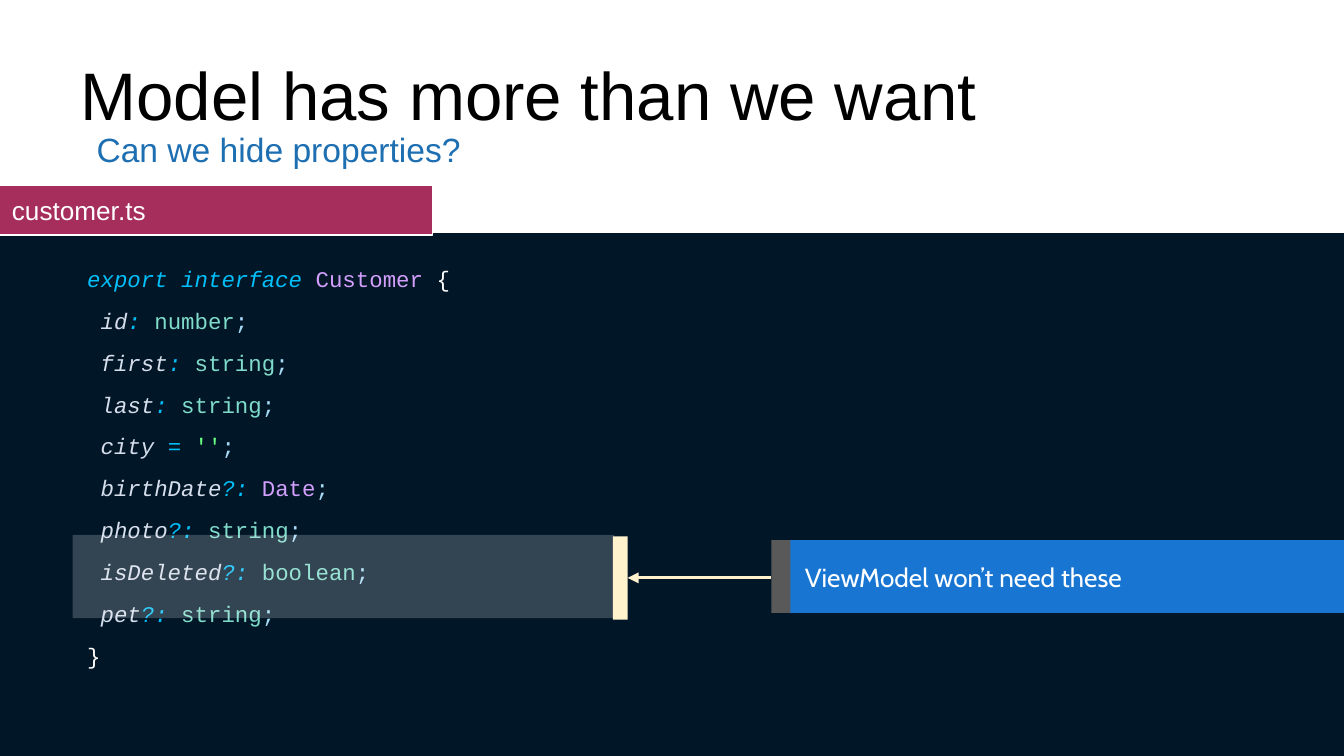
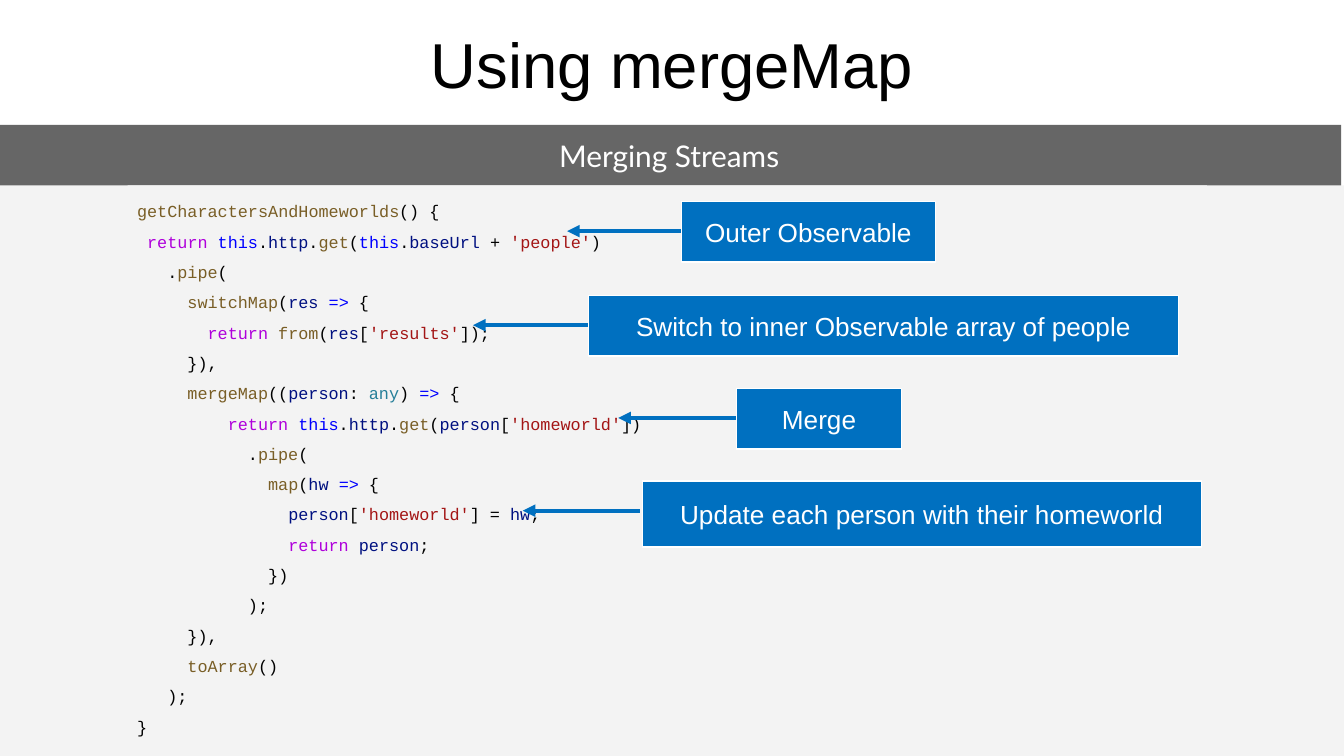
from itertools import groupby

from lxml.etree import SubElement
from pptx import Presentation
from pptx.dml.color import RGBColor
from pptx.enum.shapes import MSO_CONNECTOR as Connector, MSO_SHAPE as Shape
from pptx.enum.text import MSO_ANCHOR as Anchor, MSO_AUTO_SIZE as AutoSize, PP_ALIGN as Align
from pptx.oxml.ns import qn
from pptx.util import Inches, Pt

WHITE, BLACK, NIGHT, PALE = "FFFFFF", "000000", "011627", "F3F3F3"
BERRY, SLATE, GREY, CREAM = "A62E5C", "595959", "666666", "FFF2CC"
BRIGHT_BLUE, LINK_BLUE, CALLOUT_BLUE = "1876D2", "1D6FB2", "0070C0"

CUSTOMER_CODE = """export interface Customer {
 id: number;
 first: string;
 last: string;
 city = '';
 birthDate?: Date;
 photo?: string;
 isDeleted?: boolean;
 pet?: string;
}"""
CUSTOMER_COLOURS = {
    "00BFF9": "export interface : ?: =",
    "D6DEEB": "id first last city birthDate photo isDeleted pet",
    "D29FFC": "Customer Date",
    "7FDBCA": "number string boolean",
    "6BFF81": "''",
    WHITE: "{ }",
}
CUSTOMER_ITALICS = ("00BFF9", "D6DEEB")

MERGE_CODE = """getCharactersAndHomeworlds() {
 return this.http.get(this.baseUrl + 'people')
   .pipe(
     switchMap(res => {
       return from(res['results']);
     }),
     mergeMap((person: any) => {
         return this.http.get(person['homeworld'])
           .pipe(
             map(hw => {
               person['homeworld'] = hw;
               return person;
             })
           );
     }),
     toArray()
   );
}"""
MERGE_COLOURS = {
    "795E26": "getCharactersAndHomeworlds get pipe switchMap from mergeMap map toArray",
    "AF00DB": "return",
    "0000FF": "this =>",
    "001080": "http baseUrl res person hw",
    "A31515": "'people' 'results' 'homeworld'",
    "267F99": "any",
}

# text, box left, top, width, height, arrow start, arrow length
CALLOUTS = [
    ("Outer Observable", 5.07, 1.5, 1.89, 0.45, 5.09, 0.87),
    ("Merge", 5.48, 2.89, 1.23, 0.45, 5.48, 0.88),
    ("Update each person with their homeworld", 4.78, 3.58, 4.16, 0.49, 4.76, 0.87),
    ("Switch to inner Observable array of people", 4.38, 2.2, 4.39, 0.45, 4.4, 0.88),
]


def colour(value):
    """Turn a hex string into a colour."""
    return RGBColor.from_string(value)


def apply(target, formats):
    """Set each attribute named in a dict of format values."""
    for name, value in formats.items():
        setattr(target, name, value)


def style(span, size, hue, font="Arial", italic=False):
    """Format one run of text."""
    apply(span.font, {"size": Pt(size), "name": font, "italic": italic})
    span.font.color.rgb = colour(hue)


def prepare(box, anchor=Anchor.TOP, inset=(0.1, 0.1)):
    """Set the wrap, anchor and insets of a text frame and return it."""
    side, edge = map(Inches, inset)
    apply(box.text_frame, {
        "auto_size": AutoSize.NONE, "word_wrap": True, "vertical_anchor": anchor,
        "margin_left": side, "margin_right": side, "margin_top": edge, "margin_bottom": edge})
    return box.text_frame


def write(box, text, size, hue=WHITE, font="Arial", align=Align.LEFT, anchor=Anchor.MIDDLE):
    """Write one formatted paragraph into a shape."""
    para = prepare(box, anchor).paragraphs[0]
    para.alignment = align
    span = para.add_run()
    span.text = text
    style(span, size, hue, font)


def add_band(page, place, fill, line=None, alpha=None):
    """Add a plain rectangle."""
    band = page.shapes.add_shape(Shape.RECTANGLE, *map(Inches, place))
    band.shadow.inherit = False
    band.fill.solid()
    band.fill.fore_color.rgb = colour(fill)
    if alpha:
        hue = band._element.spPr.find(qn("a:solidFill")).find(qn("a:srgbClr"))
        SubElement(hue, qn("a:alpha"), val=str(alpha * 1000))
    if line:
        band.line.color.rgb = colour(line)
        band.line.width = Pt(0.75)
    else:
        band.line.fill.background()
    return band


def add_text_box(page, place):
    """Add an empty text box."""
    return page.shapes.add_textbox(*map(Inches, place))


def add_arrow(page, start, end, y, hue, width):
    """Add a level arrow pointing at its end."""
    arrow = page.shapes.add_connector(
        Connector.STRAIGHT, Inches(start), Inches(y), Inches(end), Inches(y))
    arrow.line.color.rgb = colour(hue)
    arrow.line.width = Pt(width)
    properties = arrow._element.spPr
    SubElement(properties.find(qn("a:ln")), qn("a:tailEnd"), type="triangle")
    SubElement(properties, qn("a:effectLst"))


def add_title(page, text, top, size, align=Align.LEFT):
    """Place and format the title placeholder."""
    title = page.shapes.title
    apply(title, {"left": Inches(0.5), "top": Inches(top),
                  "width": Inches(9), "height": Inches(0.94)})
    write(title, text, size, BLACK, align=align)


def token_kind(letter):
    """Sort a letter of code into a token class."""
    if letter.isalnum() or letter == "'":
        return "word"
    if letter in "=>?:":
        return "operator"
    return "space" if letter == " " else "mark"


def write_code(frame, code, size, spacing, colours, default, italics=()):
    """Write code line by line, colouring each token."""
    hues = {token: hue for hue, tokens in colours.items() for token in tokens.split()}
    for number, line in enumerate(code.splitlines()):
        para = frame.add_paragraph() if number else frame.paragraphs[0]
        apply(para, {"alignment": Align.LEFT, "line_spacing": spacing})
        for _, letters in groupby(line, token_kind):
            span = para.add_run()
            span.text = "".join(letters)
            hue = hues.get(span.text, default)
            style(span, size, hue, "Courier New", hue in italics)


def build_model_page(page):
    """Build the slide about properties to hide."""
    add_band(page, (0, 1.74, 10, 3.89), NIGHT, NIGHT)
    write(add_band(page, (-0.01, 1.38, 3.23, 0.37), BERRY, WHITE), "customer.ts", 14)
    add_title(page, "Model has more than we want", 0.23, 36)
    code = add_text_box(page, (0.55, 1.76, 9.52, 3.89))
    write_code(prepare(code), CUSTOMER_CODE, 12, 1.56, CUSTOMER_COLOURS, "A7DBF7",
               CUSTOMER_ITALICS)
    add_band(page, (5.74, 4.02, 4.27, 0.54), SLATE)
    add_band(page, (5.88, 4.02, 4.12, 0.54), BRIGHT_BLUE)
    remark = add_text_box(page, (5.89, 4.02, 4.12, 0.54))
    write(remark, "ViewModel won’t need these", 14, font="Cabin")
    add_band(page, (0.54, 3.98, 4.03, 0.62), WHITE, alpha=20)
    add_band(page, (4.56, 3.99, 0.11, 0.62), CREAM)
    add_arrow(page, 5.74, 4.67, 4.3, CREAM, 1.5)
    subtitle = add_text_box(page, (0.62, 0.86, 6.68, 0.5))
    write(subtitle, "Can we hide properties?", 18, LINK_BLUE, anchor=Anchor.TOP)


def build_merge_page(page):
    """Build the slide about merging streams."""
    add_band(page, (0, 1.38, 10, 4.25), PALE)
    add_title(page, "Using mergeMap", 0, 34, Align.CENTER)
    heading = add_band(page, (-0.02, 0.93, 10, 0.45), GREY)
    write(heading, "Merging Streams", 16, font="Lato", align=Align.CENTER)
    code = add_band(page, (0.95, 1.38, 8.03, 4.15), PALE)
    write_code(prepare(code, inset=(0.07, 0.04)), MERGE_CODE, 9, 1.5, MERGE_COLOURS, BLACK)
    for text, left, top, width, height, start, length in CALLOUTS:
        add_arrow(page, start, start - length, top + 0.22, CALLOUT_BLUE, 2.25)
        callout = add_band(page, (left, top, width, height), CALLOUT_BLUE, WHITE)
        write(callout, text, 14, align=Align.CENTER)


def main():
    """Build the widescreen deck and save it."""
    deck = Presentation()
    apply(deck, {"slide_width": Inches(10), "slide_height": Inches(10) * 9 // 16})
    for build in (build_model_page, build_merge_page):
        build(deck.slides.add_slide(deck.slide_layouts[5]))
    deck.save("out.pptx")


if __name__ == "__main__":
    main()
